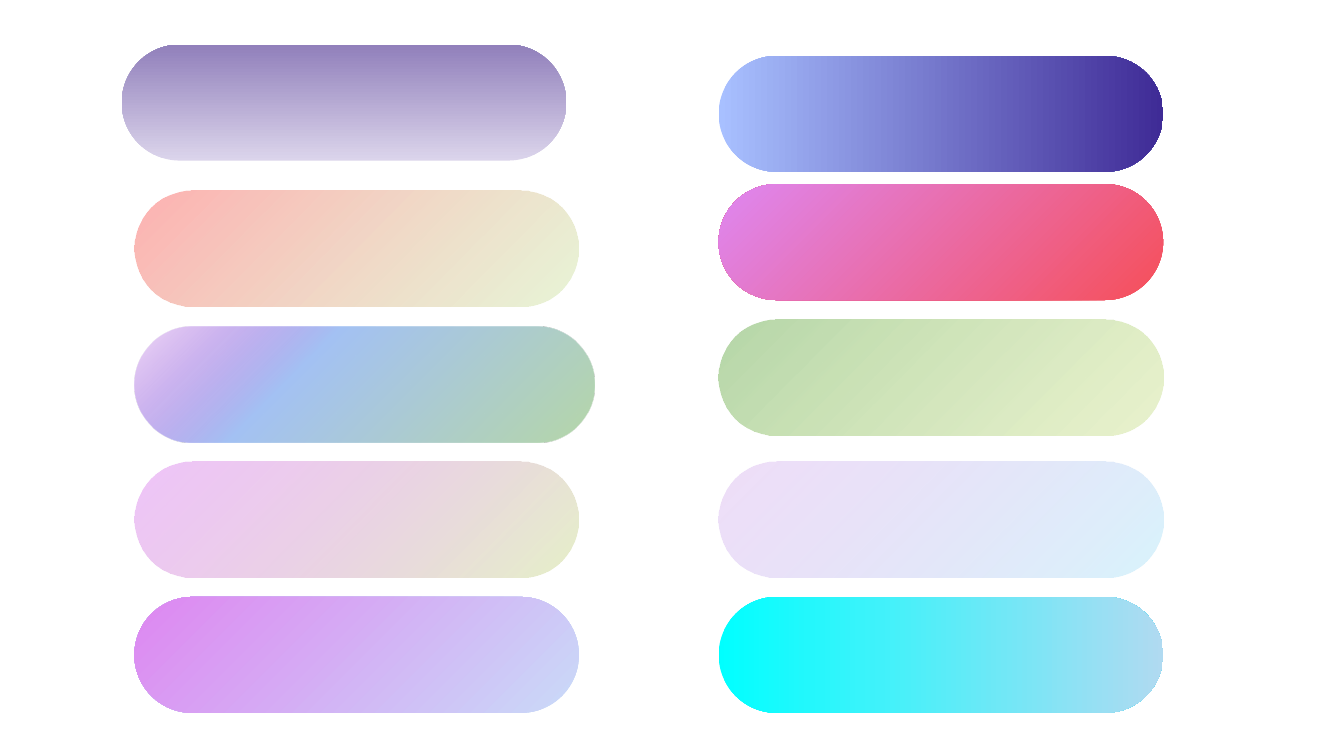
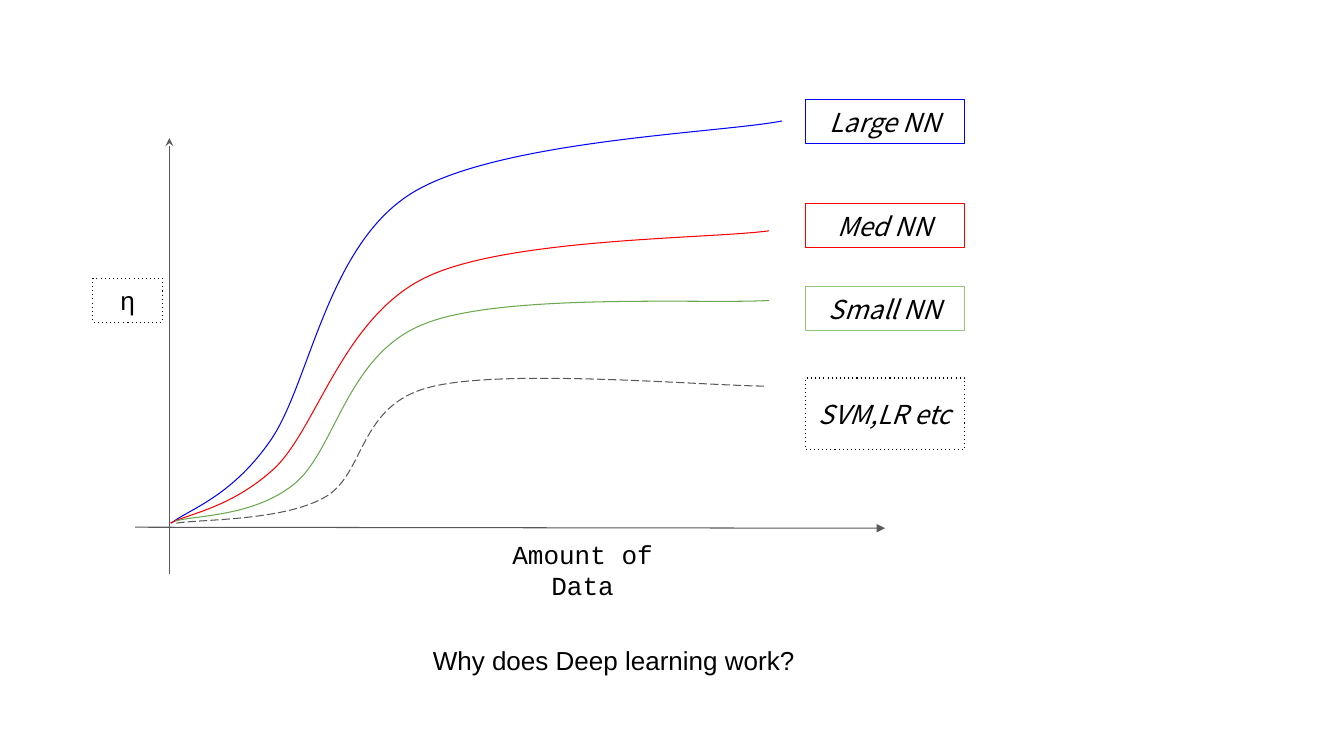
import pptx
import pptx.util
import pptx.dml.color
import pptx.enum.shapes
import pptx.enum.text
import pptx.oxml.ns
import pptx.oxml.xmlchemy

Pt = pptx.util.Pt
RGB = pptx.dml.color.RGBColor
SHAPE = pptx.enum.shapes.MSO_SHAPE
ALIGN = pptx.enum.text.PP_ALIGN
ANCHOR = pptx.enum.text.MSO_ANCHOR
qn = pptx.oxml.ns.qn

BLACK = RGB(0x00, 0x00, 0x00)
GREY = RGB(0x59, 0x59, 0x59)
BLUE = RGB(0x00, 0x00, 0xFF)
RED = RGB(0xFF, 0x00, 0x00)
GREEN = RGB(0x6A, 0xA8, 0x4F)
LIGHT_GREEN = RGB(0x93, 0xC4, 0x7D)
LAVENDER = RGB(0xDB, 0xD4, 0xEB)
MAUVE = RGB(0x91, 0x80, 0xBB)
PERIWINKLE = RGB(0xA8, 0xC0, 0xFF)
INDIGO = RGB(0x3F, 0x2B, 0x96)
LIME = RGB(0xD8, 0xED, 0xBA)
SALMON = RGB(0xFE, 0x96, 0x96)
SAGE = RGB(0xB6, 0xD7, 0xA8)
CORNFLOWER = RGB(0xA4, 0xC2, 0xF4)
VIOLET = RGB(0x9F, 0x39, 0xD5)
PALE_LIME = RGB(0xE0, 0xED, 0xBA)
ORCHID = RGB(0xDE, 0x87, 0xF1)
PALE_BLUE = RGB(0xC9, 0xDA, 0xF8)
CORAL = RGB(0xF6, 0x4F, 0x59)
SKY = RGB(0x69, 0xD4, 0xF4)
CYAN = RGB(0x00, 0xFF, 0xFF)
ICE = RGB(0xB0, 0xDA, 0xF1)

SANS, MONO, ITALIC_FACE = "Arial", "Courier New", "Noto Sans CJK KR"
TEXT_SIZE, INSET, STROKE = 18.6, 9.6, 0.75

PILL_WIDTH, PILL_HEIGHT = 317.5, 82.8
LEFT_COLUMN, RIGHT_COLUMN = 96, 513.3
RISING, DIAGONAL, ACROSS = 270, 225, 0

PILLS = [
    (87, 31.9, RISING, [(0, LAVENDER, 100), (100, MAUVE, 100)]),
    (LEFT_COLUMN, 136.2, DIAGONAL, [(0, LIME, 58), (100, SALMON, 74)]),
    (LEFT_COLUMN, 233, DIAGONAL,
     [(0, SAGE, 100), (64, CORNFLOWER, 100), (100, VIOLET, 17)]),
    (LEFT_COLUMN, 329.7, DIAGONAL, [(0, PALE_LIME, 79), (100, ORCHID, 48)]),
    (LEFT_COLUMN, 426.4, DIAGONAL, [(0, PALE_BLUE, 100), (100, ORCHID, 100)]),
    (RIGHT_COLUMN, 39.9, ACROSS, [(0, PERIWINKLE, 100), (100, INDIGO, 100)]),
    (RIGHT_COLUMN, 131.5, DIAGONAL, [(0, CORAL, 100), (100, ORCHID, 100)]),
    (RIGHT_COLUMN, 228.3, DIAGONAL, [(0, PALE_LIME, 71), (100, SAGE, 100)]),
    (RIGHT_COLUMN, 329.7, DIAGONAL, [(0, SKY, 26), (100, VIOLET, 17)]),
    (RIGHT_COLUMN, 426.4, ACROSS, [(0, CYAN, 100), (100, ICE, 100)]),
]
WIDE_PILL, WIDE_PILL_WIDTH = 2, 329

CURVES = [
    (BLUE, None, (122.4, 373.7), [
        [(133.9, 364.3), (164.2, 355.7), (192.2, 316.1)],
        [(221, 276.5), (232.6, 176.4), (293.8, 138.2)],
        [(355, 100.1), (514.8, 95), (558.7, 86.4)]]),
    (RED, None, (121.7, 373.7), [
        [(133.9, 367.2), (165.6, 362.9), (196.6, 334.1)],
        [(226.8, 304.6), (245.5, 226.1), (304.6, 198)],
        [(362.9, 169.9), (508.3, 170.6), (549.4, 164.9)]]),
    (GREEN, None, (125.3, 372.2), [
        [(139.7, 367.9), (180, 369.4), (209.5, 346.3)],
        [(239.8, 322.6), (247, 252.7), (303.8, 231.1)],
        [(360, 208.8), (508.3, 217.4), (549.4, 214.6)]]),
    (GREY, "lgDash", (126, 373.7), [
        [(144, 370.8), (200.9, 372.2), (231.1, 355.7)],
        [(261.4, 339.8), (254.9, 289.4), (307.4, 276.5)],
        [(360, 262.8), (506.9, 275.8), (547.2, 275.8)]]),
]

LABEL_LEFT, LABEL_WIDTH, LABEL_HEIGHT = 575.3, 113.8, 31.7
LABELS = [
    ("Large NN", 71.1, LABEL_HEIGHT, BLUE, None),
    ("Med NN", 145.4, LABEL_HEIGHT, RED, None),
    ("Small NN", 204.6, LABEL_HEIGHT, LIGHT_GREEN, None),
    ("SVM,LR etc", 270, 51.1, BLACK, "dot"),
]


def add_child(parent, tag, **attributes):
    """Append a drawing element with the given attributes."""
    child = pptx.oxml.xmlchemy.OxmlElement(tag)
    for name, value in attributes.items():
        child.set(name, str(value))
    parent.append(child)
    return child


def stroke(outlined, color, dash=None, arrow=None):
    """Format a line with its colour, dash and end arrowhead."""
    outlined.line.color.rgb = color
    outlined.line.width = Pt(STROKE)
    outline = outlined._element.spPr.find(qn("a:ln"))
    if dash:
        add_child(outline, "a:prstDash", val=dash)
    if arrow:
        add_child(outline, "a:tailEnd", type=arrow)


def write(holder, text, font=SANS, italic=False, align=ALIGN.CENTER,
          anchor=ANCHOR.MIDDLE):
    """Write one formatted paragraph into a shape."""
    frame = holder.text_frame
    frame.word_wrap = True
    frame.vertical_anchor = anchor
    frame.margin_left = frame.margin_right = Pt(INSET)
    frame.margin_top = frame.margin_bottom = Pt(INSET)
    paragraph = frame.paragraphs[0]
    paragraph.alignment = align
    run = paragraph.add_run()
    run.text = text
    run.font.name = font
    run.font.size = Pt(TEXT_SIZE)
    run.font.italic = italic
    run.font.color.rgb = BLACK


def add_pill(slide, left, top, angle, stops, width=PILL_WIDTH):
    """Add a pill whose gradient stops are (position, colour, opacity)."""
    pill = slide.shapes.add_shape(SHAPE.ROUNDED_RECTANGLE, Pt(left), Pt(top),
                                  Pt(width), Pt(PILL_HEIGHT))
    pill.adjustments[0] = 0.5
    pill.shadow.inherit = False
    pill.line.fill.background()
    pill.fill.gradient()
    pill.fill.gradient_angle = (360 - angle) % 360
    stop_list = pill._element.spPr.find(qn("a:gradFill")).find(qn("a:gsLst"))
    for default_stop in list(stop_list):
        stop_list.remove(default_stop)
    for position, color, opacity in stops:
        stop = add_child(stop_list, "a:gs", pos=position * 1000)
        tint = add_child(stop, "a:srgbClr", val=color)
        if opacity < 100:
            add_child(tint, "a:alpha", val=opacity * 1000)


def add_axis(slide, start, end, arrow):
    """Add a straight axis with an arrowhead at its end."""
    axis = slide.shapes.add_connector(
        pptx.enum.shapes.MSO_CONNECTOR.STRAIGHT,
        *(Pt(value) for value in start + end))
    stroke(axis, GREY, arrow=arrow)
    add_child(axis._element.spPr, "a:effectLst")


def add_curve(slide, color, dash, start, segments):
    """Add an open curve made of cubic Bézier segments."""
    builder = slide.shapes.build_freeform(Pt(start[0]), Pt(start[1]))
    builder.add_line_segments(
        [(Pt(x), Pt(y)) for *_, (x, y) in segments], close=False)
    curve = builder.convert_to_shape()
    curve.shadow.inherit = False
    curve.fill.background()
    stroke(curve, color, dash)
    outline = next(curve._element.iter(qn("a:path")))
    for straight in outline.findall(qn("a:lnTo")):
        outline.remove(straight)
    for segment in segments:
        bend = add_child(outline, "a:cubicBezTo")
        for x, y in segment:
            add_child(bend, "a:pt", x=Pt(x) - curve.left, y=Pt(y) - curve.top)


def add_label(slide, text, left, top, width, height, color, dash, **style):
    """Add an unfilled, outlined rectangle with text."""
    label = slide.shapes.add_shape(SHAPE.RECTANGLE, Pt(left), Pt(top),
                                   Pt(width), Pt(height))
    label.shadow.inherit = False
    label.fill.background()
    stroke(label, color, dash)
    write(label, text, **style)


def add_caption(slide, text, left, top, width, height, **style):
    """Add a plain text box."""
    caption = slide.shapes.add_textbox(Pt(left), Pt(top), Pt(width), Pt(height))
    write(caption, text, **style)


def build_gradients(slide):
    """Lay out the gradient swatches in two columns."""
    for index, pill in enumerate(PILLS):
        width = WIDE_PILL_WIDTH if index == WIDE_PILL else PILL_WIDTH
        add_pill(slide, *pill, width=width)


def build_learning_curves(slide):
    """Draw performance against amount of data for each model size."""
    add_axis(slide, (121, 409.7), (121, 98.6), "stealth")
    add_axis(slide, (96.5, 376.6), (632.2, 377.3), "triangle")
    for curve in CURVES:
        add_curve(slide, *curve)
    for text, top, height, color, dash in LABELS:
        add_label(slide, text, LABEL_LEFT, top, LABEL_WIDTH, height, color,
                  dash, font=ITALIC_FACE, italic=True)
    add_label(slide, "η", 66.4, 198.7, 49.7, LABEL_HEIGHT, BLACK, "dot",
              font=MONO)
    add_caption(slide, "Amount of Data", 334.8, 388.1, 162.7, 37.4, font=MONO)
    add_caption(slide, "Why does Deep learning work?", 299.5, 450.7, 318.2,
                53.3, align=ALIGN.LEFT, anchor=ANCHOR.TOP)


def main():
    """Build and save the deck."""
    deck = pptx.Presentation()
    deck.slide_width, deck.slide_height = Pt(960), Pt(540)
    blank = deck.slide_layouts[6]
    for build in (build_gradients, build_learning_curves):
        build(deck.slides.add_slide(blank))
    deck.save("out.pptx")


if __name__ == "__main__":
    main()
